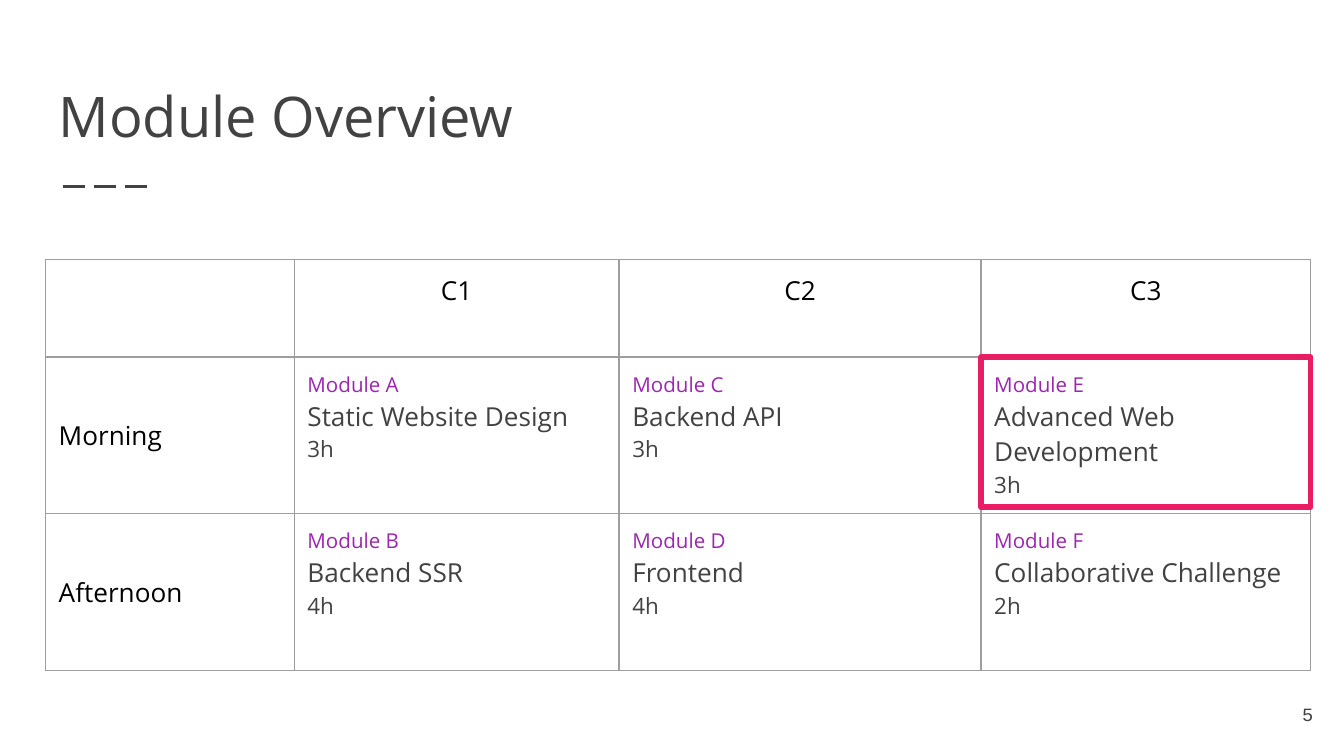
from lxml.etree import SubElement
from pptx import Presentation
from pptx.dml.color import RGBColor
from pptx.enum.dml import MSO_LINE
from pptx.enum.shapes import MSO_CONNECTOR, MSO_SHAPE
from pptx.enum.text import MSO_ANCHOR as Anchor, PP_ALIGN as Align
from pptx.oxml.ns import qn
from pptx.util import Cm, Pt

DARK = RGBColor(0x42, 0x42, 0x42)
BLACK = RGBColor(0, 0, 0)
PURPLE = RGBColor(0x9C, 0x26, 0xB0)
PINK = RGBColor(0xE9, 0x1D, 0x63)
BORDER_GRAY = RGBColor(0x9E, 0x9E, 0x9E)
MARGIN = Cm(0.25)
TABLE_LEFT, TABLE_TOP = 0.86, 4.9
COLUMN_WIDTHS = [4.7, 6.14, 6.84, 6.23]
ROW_HEIGHTS = [1.85, 2.96, 2.96]
HEADERS = ["C1", "C2", "C3"]
SCHEDULE = [
    ("Morning", [("Module A", "Static Website Design", "3h"),
                 ("Module C", "Backend API", "3h"),
                 ("Module E", "Advanced Web Development", "3h")]),
    ("Afternoon", [("Module B", "Backend SSR", "4h"),
                   ("Module D", "Frontend", "4h"),
                   ("Module F", "Collaborative Challenge", "2h")]),
]


def format_paragraph(paragraph, text, size=14, color=BLACK, font="Open Sans", align=Align.LEFT):
    paragraph.alignment = align
    run = paragraph.add_run()
    run.text = text
    run.font.name = font
    run.font.size = Pt(size)
    run.font.color.rgb = color


def set_margins(holder):
    holder.margin_left = holder.margin_right = MARGIN
    holder.margin_top = holder.margin_bottom = MARGIN


def add_text(slide, left, top, width, height, text, anchor, **text_format):
    box = slide.shapes.add_textbox(Cm(left), Cm(top), Cm(width), Cm(height))
    frame = box.text_frame
    frame.word_wrap = True
    frame.vertical_anchor = anchor
    set_margins(frame)
    format_paragraph(frame.paragraphs[0], text, **text_format)


def add_dashes(slide, left, top, width):
    line = slide.shapes.add_connector(
        MSO_CONNECTOR.STRAIGHT, Cm(left), Cm(top), Cm(left + width), Cm(top))
    line.line.color.rgb = DARK
    line.line.width = Pt(1.5)
    line.line.dash_style = MSO_LINE.LONG_DASH
    SubElement(line._element.spPr, qn("a:effectLst"))


def style_cell(cell):
    set_margins(cell)
    properties = cell._tc.get_or_add_tcPr()
    for side in ("lnL", "lnR", "lnT", "lnB"):
        border = SubElement(properties, qn(f"a:{side}"), w=str(Pt(0.75)))
        fill = SubElement(border, qn("a:solidFill"))
        SubElement(fill, qn("a:srgbClr"), val=str(BORDER_GRAY))
    cell.fill.background()


def fill_module(cell, name, title, duration):
    frame = cell.text_frame
    format_paragraph(frame.paragraphs[0], name, size=11, color=PURPLE)
    format_paragraph(frame.add_paragraph(), title, color=DARK)
    format_paragraph(frame.add_paragraph(), duration, size=12, color=DARK)


def add_schedule(slide):
    table = slide.shapes.add_table(
        len(ROW_HEIGHTS), len(COLUMN_WIDTHS), Cm(TABLE_LEFT), Cm(TABLE_TOP),
        Cm(sum(COLUMN_WIDTHS)), Cm(sum(ROW_HEIGHTS))).table
    table.first_row = table.horz_banding = False
    for column, width in zip(table.columns, COLUMN_WIDTHS):
        column.width = Cm(width)
    for row, height in zip(table.rows, ROW_HEIGHTS):
        row.height = Cm(height)
    for cell in table.iter_cells():
        style_cell(cell)
    for column, header in enumerate(HEADERS, 1):
        format_paragraph(table.cell(0, column).text_frame.paragraphs[0], header, align=Align.CENTER)
    for row, (period, modules) in enumerate(SCHEDULE, 1):
        period_cell = table.cell(row, 0)
        period_cell.vertical_anchor = Anchor.MIDDLE
        format_paragraph(period_cell.text_frame.paragraphs[0], period)
        for column, module in enumerate(modules, 1):
            fill_module(table.cell(row, column), *module)


def add_highlight(slide, left, top, width, height):
    shape = slide.shapes.add_shape(
        MSO_SHAPE.RECTANGLE, Cm(left), Cm(top), Cm(width), Cm(height))
    shape.shadow.inherit = False
    shape.fill.background()
    shape.line.color.rgb = PINK
    shape.line.width = Pt(3)
    SubElement(shape.line._get_or_add_ln(), qn("a:round"))


def main():
    presentation = Presentation()
    presentation.slide_width, presentation.slide_height = Cm(25.4), Cm(14.29)
    slide = presentation.slides.add_slide(presentation.slide_layouts[6])
    add_dashes(slide, 1.19, 3.53, 1.7)
    add_text(slide, 0.86, 1.04, 23.67, 2.03, "Module Overview", Anchor.BOTTOM, size=30, color=DARK)
    add_schedule(slide)
    add_text(slide, 23.55, 12.95, 1.52, 1.09, "5", Anchor.MIDDLE,
             size=10, color=DARK, font="Courier New", align=Align.RIGHT)
    add_highlight(slide, TABLE_LEFT + sum(COLUMN_WIDTHS[:3]), TABLE_TOP + ROW_HEIGHTS[0],
                  COLUMN_WIDTHS[3], 2.84)
    presentation.save("out.pptx")


if __name__ == "__main__":
    main()
